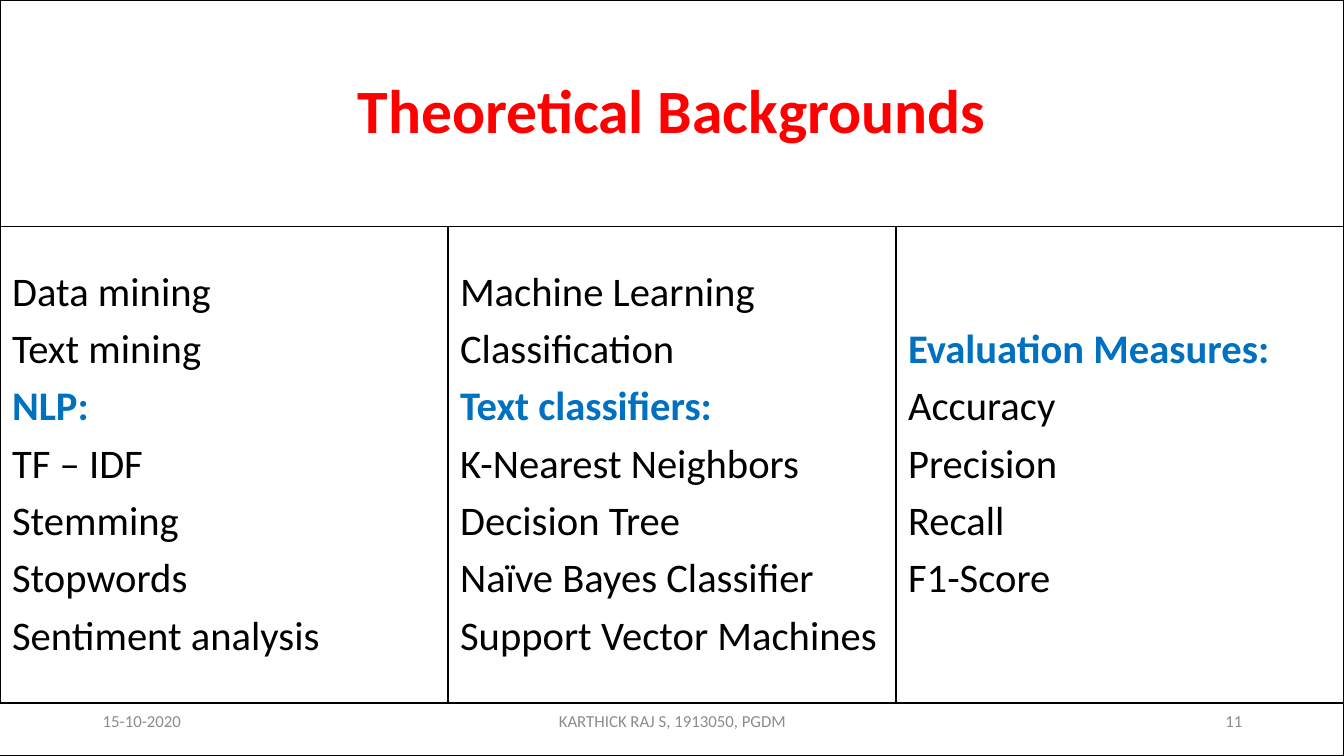
from pptx import Presentation, util as u
from pptx.dml.color import RGBColor
from pptx.enum import shapes, text

WHITE = RGBColor(0xFF, 0xFF, 0xFF)
BLACK = RGBColor(0x00, 0x00, 0x00)
RED = RGBColor(0xFF, 0x00, 0x00)
BLUE = RGBColor(0x00, 0x70, 0xC0)
GREY = RGBColor(0x8C, 0x8C, 0x8C)

WIDTH, HEIGHT = 13.33, 7.5
TITLE_END, TOPICS_END = 0.3, 0.93  # row edges as shares of the height

TOPICS = [
    ["Data mining", "Text mining", "NLP:", "TF – IDF", "Stemming",
     "Stopwords", "Sentiment analysis"],
    ["Machine Learning", "Classification", "Text classifiers:",
     "K-Nearest Neighbors", "Decision Tree", "Naïve Bayes Classifier",
     "Support Vector Machines"],
    ["Evaluation Measures:", "Accuracy", "Precision", "Recall", "F1-Score"],
]
# Left edge, width (inches), alignment and wording
FOOTER = [
    (0.92, 3, text.PP_ALIGN.LEFT, "15-10-2020"),
    (4.42, 4.5, text.PP_ALIGN.CENTER, "KARTHICK RAJ S, 1913050, PGDM"),
    (9.42, 3, text.PP_ALIGN.RIGHT, "11"),
]


class Board:
    """Slide divided into ruled panels, with one text style."""

    font = "Calibri"

    def __init__(self, deck):
        self.slide = deck.slides.add_slide(deck.slide_layouts[5])

    def area(self, x, y, w, h):
        """Turn shares of the slide into lengths."""
        return [u.Inches(share * side) for share, side
                in zip((x, y, w, h), (WIDTH, HEIGHT) * 2)]

    def frame(self, panel, rule):
        panel.fill.solid()
        panel.fill.fore_color.rgb = WHITE
        panel.line.color.rgb = BLACK
        panel.line.width = u.Pt(rule)

    def prepare(self, holder, inset, inset_y=None):
        body = holder.text_frame
        body.word_wrap = True
        body.auto_size = text.MSO_AUTO_SIZE.NONE
        body.vertical_anchor = text.MSO_ANCHOR.MIDDLE
        body.margin_left = body.margin_right = u.Inches(inset)
        body.margin_top = body.margin_bottom = u.Inches(
            inset if inset_y is None else inset_y)
        return body

    def add_words(self, line, wording, size, color, align, bold=False):
        line.alignment = align
        run = line.add_run()
        run.text = wording
        run.font.name = self.font
        run.font.size = u.Pt(size)
        run.font.bold = bold
        run.font.color.rgb = color

    def title(self, place, wording):
        heading = self.slide.shapes.title
        heading.left, heading.top, heading.width, heading.height = self.area(*place)
        self.frame(heading, 1)
        line = self.prepare(heading, 0.18).paragraphs[0]
        line.line_spacing = 0.9
        line.space_after = u.Pt(15)
        self.add_words(line, wording, 44, RED, text.PP_ALIGN.CENTER, True)

    def panel(self, place, rule=1):
        panel = self.slide.shapes.add_shape(
            shapes.MSO_SHAPE.RECTANGLE, *self.area(*place))
        panel.shadow.inherit = False
        self.frame(panel, rule)
        return panel

    def topics(self, place, wordings):
        body = self.prepare(self.panel(place), 0.12)
        for i, wording in enumerate(wordings):
            line = body.add_paragraph() if i else body.paragraphs[0]
            line.line_spacing = 0.9
            line.space_after = u.Pt(9.6)
            is_heading = wording.endswith(":")
            self.add_words(line, wording, 29, BLUE if is_heading else BLACK,
                           text.PP_ALIGN.LEFT, is_heading)

    def note(self, place, wording, align):
        label = self.slide.shapes.add_textbox(*self.area(*place))
        line = self.prepare(label, 0.1, 0.05).paragraphs[0]
        self.add_words(line, wording, 12, GREY, align)


def main():
    deck = Presentation()
    deck.slide_width, deck.slide_height = u.Inches(WIDTH), u.Inches(HEIGHT)
    board = Board(deck)

    # Title band
    board.title((0, 0, 1, TITLE_END), "Theoretical Backgrounds")

    # Topic columns
    column = 1 / len(TOPICS)
    for i, wordings in enumerate(TOPICS):
        board.topics((i * column, TITLE_END, column, TOPICS_END - TITLE_END), wordings)

    # Footer band
    board.panel((0, TOPICS_END, 1, 1 - TOPICS_END), 0.75)
    for left, width, align, wording in FOOTER:
        board.note((left / WIDTH, 6.95 / HEIGHT, width / WIDTH, 0.4 / HEIGHT),
                   wording, align)

    deck.save("out.pptx")


if __name__ == "__main__":
    main()
